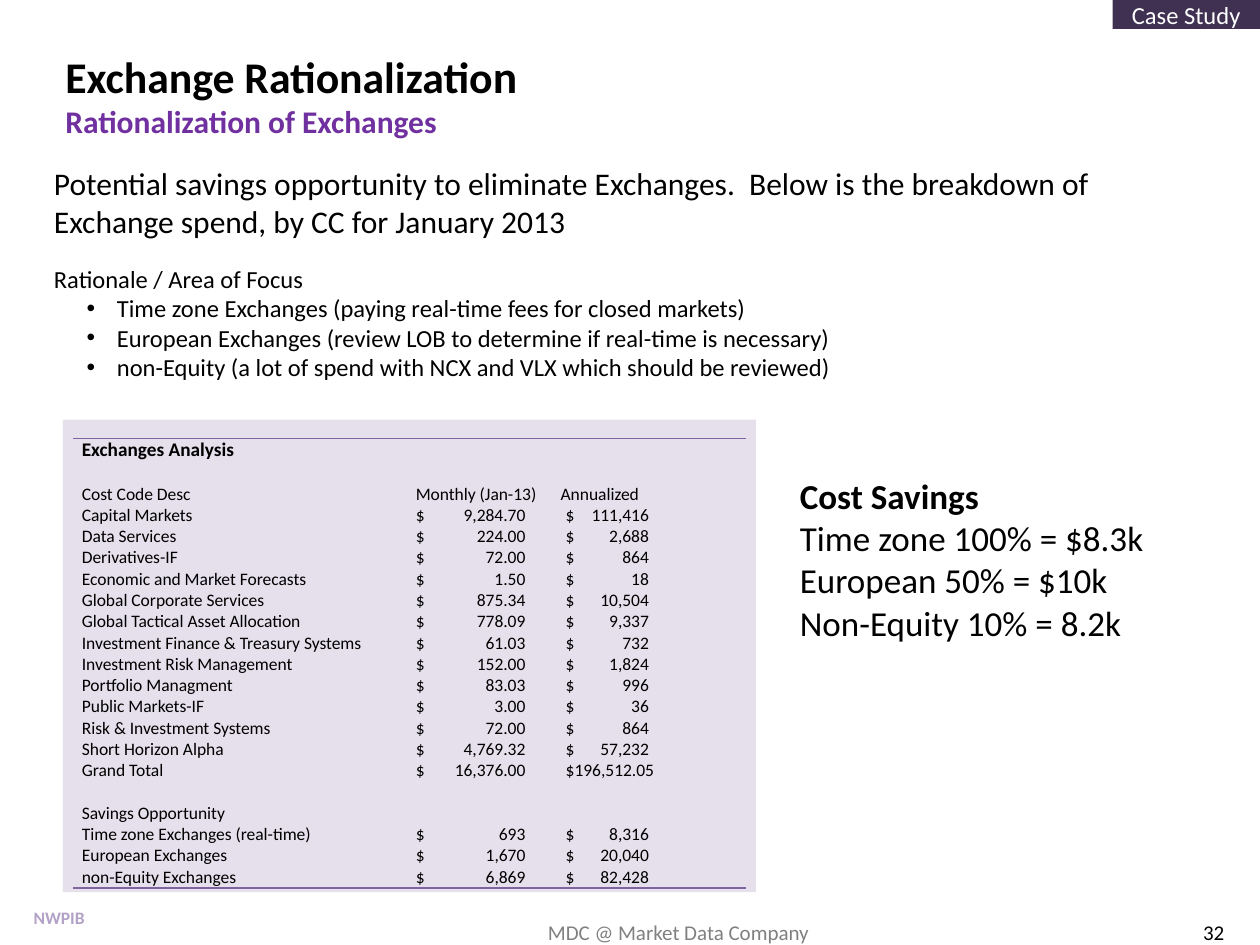
from lxml import etree
from pptx import Presentation
from pptx import util as u
from pptx.dml.color import RGBColor
from pptx.enum import shapes, text
from pptx.oxml.ns import qn

FONT = "Calibri"
COLORS = {
    "black": "000000", "white": "FFFFFF", "purple": "7030A0", "panel": "E6E0EC",
    "rule": "8064A2", "tag": "403152", "grey": "808080", "lilac": "B3A2C7",
}
NO_STYLE = "{2D5ABB26-0587-4C30-8999-92F81FD0307C}"


def add_run(p, words, size, color="black", bold=False):
    r = p.add_run()
    r.text = words
    r.font.name = FONT
    r.font.size = u.Pt(size)
    r.font.bold = bold
    r.font.color.rgb = RGBColor.from_string(COLORS[color])


def add_text(left, top, width, height, paragraphs):
    """Add a text box; each paragraph is a list of add_run argument tuples."""
    tf = s.shapes.add_textbox(*map(u.Inches, (left, top, width, height))).text_frame
    tf.word_wrap = True
    for i, runs in enumerate(paragraphs):
        p = tf.add_paragraph() if i else tf.paragraphs[0]
        for run in runs:
            add_run(p, *run)
    return tf


prs = Presentation()
prs.slide_width, prs.slide_height = u.Inches(10), u.Inches(7.5)
s = prs.slides.add_slide(prs.slide_layouts[6])

# Table panel and corner tag
for box, fill, label in [
    ((0.5, 3.33, 5.5, 3.75), "panel", None),
    ((8.83, 0, 1.17, 0.23), "tag", "Case Study"),
]:
    sp = s.shapes.add_shape(shapes.MSO_SHAPE.RECTANGLE, *map(u.Inches, box))
    sp.shadow.inherit = False
    sp.fill.solid()
    sp.fill.fore_color.rgb = RGBColor.from_string(COLORS[fill])
    sp.line.fill.background()
    if label:
        tf = sp.text_frame
        tf.vertical_anchor = text.MSO_ANCHOR.MIDDLE
        tf.paragraphs[0].alignment = text.PP_ALIGN.CENTER
        add_run(tf.paragraphs[0], label, 14, "white")

# Exchange spend table: a tab separates the dollar sign from its amount
rows = [
    ("Exchanges Analysis", "", ""),
    ("", "", ""),
    ("Cost Code Desc", "Monthly (Jan-13)", "Annualized"),
    ("Capital Markets", "$\t9,284.70", "$\t111,416"),
    ("Data Services", "$\t224.00", "$\t2,688"),
    ("Derivatives-IF", "$\t72.00", "$\t864"),
    ("Economic and Market Forecasts", "$\t1.50", "$\t18"),
    ("Global Corporate Services", "$\t875.34", "$\t10,504"),
    ("Global Tactical Asset Allocation", "$\t778.09", "$\t9,337"),
    ("Investment Finance & Treasury Systems", "$\t61.03", "$\t732"),
    ("Investment Risk Management", "$\t152.00", "$\t1,824"),
    ("Portfolio Managment", "$\t83.03", "$\t996"),
    ("Public Markets-IF", "$\t3.00", "$\t36"),
    ("Risk & Investment Systems", "$\t72.00", "$\t864"),
    ("Short Horizon Alpha", "$\t4,769.32", "$\t57,232"),
    ("Grand Total", "$\t16,376.00", "$196,512.05"),
    ("", "", ""),
    ("Savings Opportunity", "", ""),
    ("Time zone Exchanges (real-time)", "$\t693", "$\t8,316"),
    ("European Exchanges", "$\t1,670", "$\t20,040"),
    ("non-Equity Exchanges", "$\t6,869", "$\t82,428"),
]
last = len(rows) - 1
tab_stops = {1: 0.87, 2: 0.66}
borders = {0: "a:lnT", last: "a:lnB"}
table = s.shapes.add_table(len(rows), 3, u.Inches(0.58), u.Inches(3.48),
                           u.Inches(5.34), u.Inches(3.52)).table
table.first_row = table.horz_banding = False
table._tbl.tblPr.find(qn("a:tableStyleId")).text = NO_STYLE
for column, width in zip(table.columns, (2.65, 1.15, 1.54)):
    column.width = u.Inches(width)

for i, row in enumerate(rows):
    table.rows[i].height = u.Inches(0.16)
    for j, words in enumerate(row):
        cell = table.cell(i, j)
        is_amount = words.startswith("$")
        cell.margin_left = u.Inches(0.11 if is_amount and j == 2 else 0.07)
        cell.margin_right = u.Inches(0.07)
        cell.margin_top = cell.margin_bottom = 0
        cell.fill.background()
        p = cell.text_frame.paragraphs[0]
        if words:
            add_run(p, words, 10 if i else 11, bold=i == 0)
        else:
            p._p.get_or_add_endParaRPr().set("sz", "1000")
        if is_amount:
            tabs = etree.SubElement(p._p.get_or_add_pPr(), qn("a:tabLst"))
            etree.SubElement(tabs, qn("a:tab"), pos=str(u.Inches(tab_stops[j])), algn="r")
        if i in borders:
            ln = etree.Element(qn(borders[i]), w=str(u.Pt(1)))
            fill = etree.SubElement(ln, qn("a:solidFill"))
            etree.SubElement(fill, qn("a:srgbClr"), val=COLORS["rule"])
            cell._tc.get_or_add_tcPr().insert(0, ln)

# Title and subtitle
add_text(0.42, 0.33, 8.02, 0.95, [
    [("Exchange Rationalizatio", 25, "black", True), ("n", 26, "black", True)],
    [("Rationalization of Exchanges", 18, "purple", True)],
])

# Introduction and bullets
tf = add_text(0.33, 1.25, 9, 1.85, [
    [("Potential savings opportunity to eliminate Exchanges.  Below is the breakdown of "
      "Exchange spend, by CC for January 2013", 18)],
    [("Rationale / Area of Focus", 14)],
    [("Time zone Exchanges (paying real-time fees for closed markets)", 14)],
    [("European Exchanges (review LOB to determine if real-time is necessary)", 14)],
    [("non-Equity (a lot of spend with NCX and VLX which should be reviewed)", 14)],
])
tf.paragraphs[1].space_before = u.Pt(14)
for p in tf.paragraphs[2:]:
    p.level = 1
    pPr = p._p.get_or_add_pPr()
    pPr.set("marL", str(u.Inches(0.5)))
    pPr.set("indent", str(u.Inches(-0.24)))
    etree.SubElement(pPr, qn("a:buFont"), typeface="Arial")
    etree.SubElement(pPr, qn("a:buChar"), char="•")

# Savings summary
add_text(6.25, 3.72, 3.33, 1.78, [
    [("Cost Savings", 20, "black", True)],
    [("Time zone 100% = $8.3k", 20)],
    [("European 50% = $10k", 20)],
    [("Non-Equity 10% = 8.2k", 20)],
])

# Footer
tf = add_text(4.25, 7.3, 2.93, 0.2, [[("MDC @ Market Data Company", 12, "grey")]])
tf.vertical_anchor = text.MSO_ANCHOR.MIDDLE
add_text(9.45, 7.25, 0.55, 0.25, [[("32", 12)]])
tf = add_text(0.07, 7.15, 0.8, 0.27, [[("NWPIB", 10, "lilac", True)]])
tf.paragraphs[0].alignment = text.PP_ALIGN.CENTER

prs.save("out.pptx")
